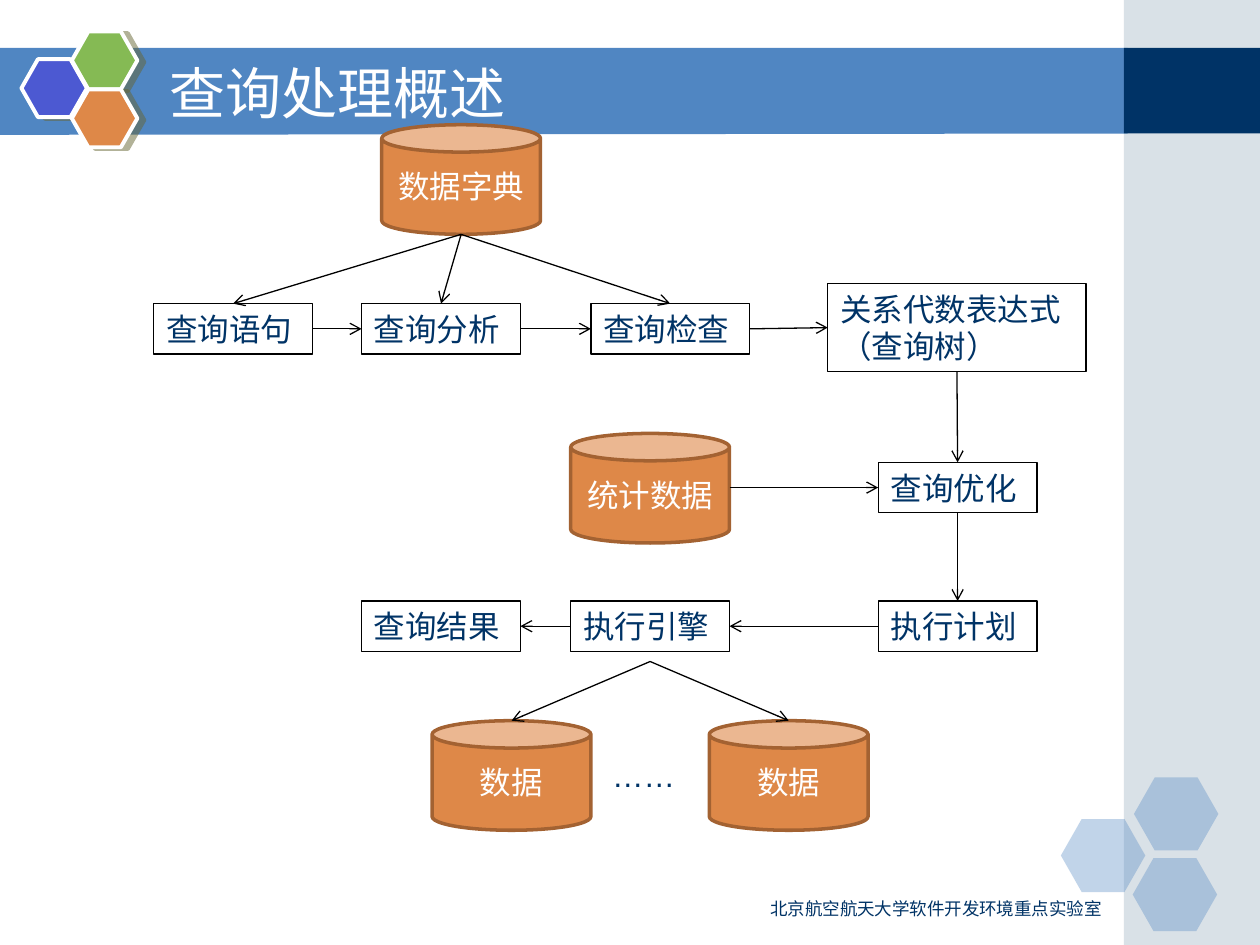
import pptx
import pptx.dml.color
import pptx.enum.shapes
import pptx.enum.text
import pptx.oxml
import pptx.oxml.ns
import pptx.util
from pptx.util import Inches

COLORS = {
    "band": "5086C2", "side": "A0B5C4", "navy": "003366", "white": "FFFFFF",
    "black": "000000", "blue": "4C59D2", "green": "85BA54",
    "orange": "DE8848", "brown": "A36232", "shadow": "666633",
}
SHAPE = pptx.enum.shapes.MSO_SHAPE
ALIGN = pptx.enum.text.PP_ALIGN
ANCHOR = pptx.enum.text.MSO_ANCHOR
TOP, LEFT, BOTTOM, RIGHT = range(4)
BOX_W, BOX_H = 1.26, 0.4
CAN_W, CAN_H = 1.26, 0.87


def rgb(name):
    return pptx.dml.color.RGBColor.from_string(COLORS[name])


def add_xml(parent, xml):
    ns = pptx.oxml.ns.nsdecls("a")
    parent.append(pptx.oxml.parse_xml(xml.replace(" ", f" {ns} ", 1)))


class Deck:
    def __init__(self, prs):
        self.slide = prs.slides.add_slide(prs.slide_layouts[6])
        self.shapes = self.slide.shapes

    def paint(self, sp, fill=None, line=None, width=0.75, alpha=None):
        sp.shadow.inherit = False
        if fill:
            sp.fill.solid()
            sp.fill.fore_color.rgb = rgb(fill)
        else:
            sp.fill.background()
        if alpha:
            color = sp._element.spPr.find(".//" + pptx.oxml.ns.qn("a:srgbClr"))
            add_xml(color, f'<a:alpha val="{alpha * 1000}"/>')
        if line:
            sp.line.color.rgb = rgb(line)
            sp.line.width = pptx.util.Pt(width)
        else:
            sp.line.fill.background()

    def label(self, sp, text, size=18, color="navy", font="Arial",
              align=ALIGN.LEFT, anchor=ANCHOR.TOP):
        tf = sp.text_frame
        tf.word_wrap = True
        tf.vertical_anchor = anchor
        tf.text = text
        p = tf.paragraphs[0]
        p.alignment = align
        r = p.runs[0]
        r.font.size = pptx.util.Pt(size)
        r.font.name = font
        r.font.color.rgb = rgb(color)

    def shape(self, kind, x, y, w, h, fill=None, **style):
        sp = self.shapes.add_shape(kind, Inches(x), Inches(y), Inches(w), Inches(h))
        self.paint(sp, fill, **style)
        return sp

    def hexagon(self, x, y, w, h, fill, shadow=False, **style):
        sp = self.shape(SHAPE.HEXAGON, x, y, w, h, fill, **style)
        sp.adjustments[0] = 0.285
        if shadow:
            effects = sp._element.spPr.find(pptx.oxml.ns.qn("a:effectLst"))
            add_xml(effects, '<a:outerShdw dist="52070" dir="840000" algn="ctr" rotWithShape="0">'
                    f'<a:srgbClr val="{COLORS["shadow"]}"><a:alpha val="50000"/>'
                    '</a:srgbClr></a:outerShdw>')

    def text(self, text, x, y, w, h, **style):
        sp = self.shapes.add_textbox(Inches(x), Inches(y), Inches(w), Inches(h))
        self.label(sp, text, **style)

    def box(self, text, x, y, w=BOX_W, h=BOX_H):
        sp = self.shape(SHAPE.RECTANGLE, x, y, w, h, line="black")
        self.label(sp, text)
        return sp

    def can(self, text, x, y):
        sp = self.shape(SHAPE.CAN, x, y, CAN_W, CAN_H, "orange", line="brown", width=2)
        sp.adjustments[0] = 0.25
        self.label(sp, text, color="white", font="DejaVu Sans",
                   align=ALIGN.CENTER, anchor=ANCHOR.MIDDLE)

    def arrow(self, start, end):
        """Each end is either a point (x, y) or a joined side (shape, side)."""
        cxn = self.shapes.add_connector(pptx.enum.shapes.MSO_CONNECTOR.STRAIGHT, 0, 0, 0, 0)
        if isinstance(start[0], (int, float)):
            cxn.begin_x, cxn.begin_y = map(Inches, start)
        else:
            cxn.begin_connect(*start)
        if isinstance(end[0], (int, float)):
            cxn.end_x, cxn.end_y = map(Inches, end)
        else:
            cxn.end_connect(*end)
        cxn.line.color.rgb = rgb("black")
        cxn.line.width = pptx.util.Pt(0.75)
        ln = cxn._element.spPr.find(pptx.oxml.ns.qn("a:ln"))
        add_xml(ln, '<a:tailEnd type="arrow"/>')
        add_xml(cxn._element.spPr, '<a:effectLst />')


def main():
    prs = pptx.Presentation()
    prs.slide_width, prs.slide_height = Inches(10), Inches(7.5)
    s = Deck(prs)

    # Title band and side panel
    builder = s.shapes.build_freeform(Inches(-0.01), Inches(0.38))
    builder.add_line_segments([(Inches(x), Inches(y)) for x, y in
                               [(8.95, 0.38), (8.95, 1.06), (-0.01, 1.07)]])
    s.paint(builder.convert_to_shape(), "band")
    s.shape(SHAPE.RECTANGLE, 8.92, 0, 1.08, 7.5, "side", alpha=40)
    s.shape(SHAPE.RECTANGLE, 8.92, 0.38, 1.08, 0.68, "navy")

    # Hexagon ornaments
    for x, y in [(8.42, 6.5), (9, 6.17), (8.99, 6.81)]:
        s.hexagon(x, y, 0.67, 0.58, "band", alpha=35)
    for x, y, fill in [(0.17, 0.47, "blue"), (0.57, 0.25, "green"), (0.57, 0.71, "orange")]:
        s.hexagon(x, y, 0.52, 0.46, fill, shadow=True, line="white", width=2.25)

    # Title and footer
    s.text("查询处理概述", 1.25, 0.42, 7.33, 0.62, size=32, color="white",
           font="DejaVu Sans", anchor=ANCHOR.MIDDLE)
    s.text("北京航空航天大学软件开发环境重点实验室", 5.67, 7.08, 3.17, 0.26,
           size=10, font="DejaVu Sans", align=ALIGN.RIGHT)

    # Processing steps
    statement = s.box("查询语句", 1.22, 2.41)
    analysis = s.box("查询分析", 2.87, 2.41)
    check = s.box("查询检查", 4.69, 2.41)
    algebra = s.box("关系代数表达式（查询树）", 6.57, 2.25, 2.05, 0.7)
    optimize = s.box("查询优化", 6.97, 3.67)
    plan = s.box("执行计划", 6.97, 4.77)
    engine = s.box("执行引擎", 4.53, 4.77)
    result = s.box("查询结果", 2.87, 4.77)

    # Data stores
    for text, x, y in [("数据字典", 3.03, 0.99), ("统计数据", 4.53, 3.44),
                       ("数据", 3.43, 5.72), ("数据", 5.63, 5.72)]:
        s.can(text, x, y)
    s.text("……", 4.76, 5.95, 0.79, 0.4)

    # Flow between steps
    for a, side_a, b, side_b in [
        (statement, RIGHT, analysis, LEFT), (analysis, RIGHT, check, LEFT),
        (check, RIGHT, algebra, LEFT), (algebra, BOTTOM, optimize, TOP),
        (optimize, BOTTOM, plan, TOP), (plan, LEFT, engine, RIGHT),
        (engine, LEFT, result, RIGHT),
    ]:
        s.arrow((a, side_a), (b, side_b))

    # Links to the data stores
    for step in (statement, analysis, check):
        s.arrow((3.66, 1.86), (step, TOP))
    s.arrow((5.79, 3.87), (optimize, LEFT))
    for x in (4.06, 6.26):
        s.arrow((5.16, 5.25), (x, 5.72))

    prs.save("out.pptx")


if __name__ == "__main__":
    main()
